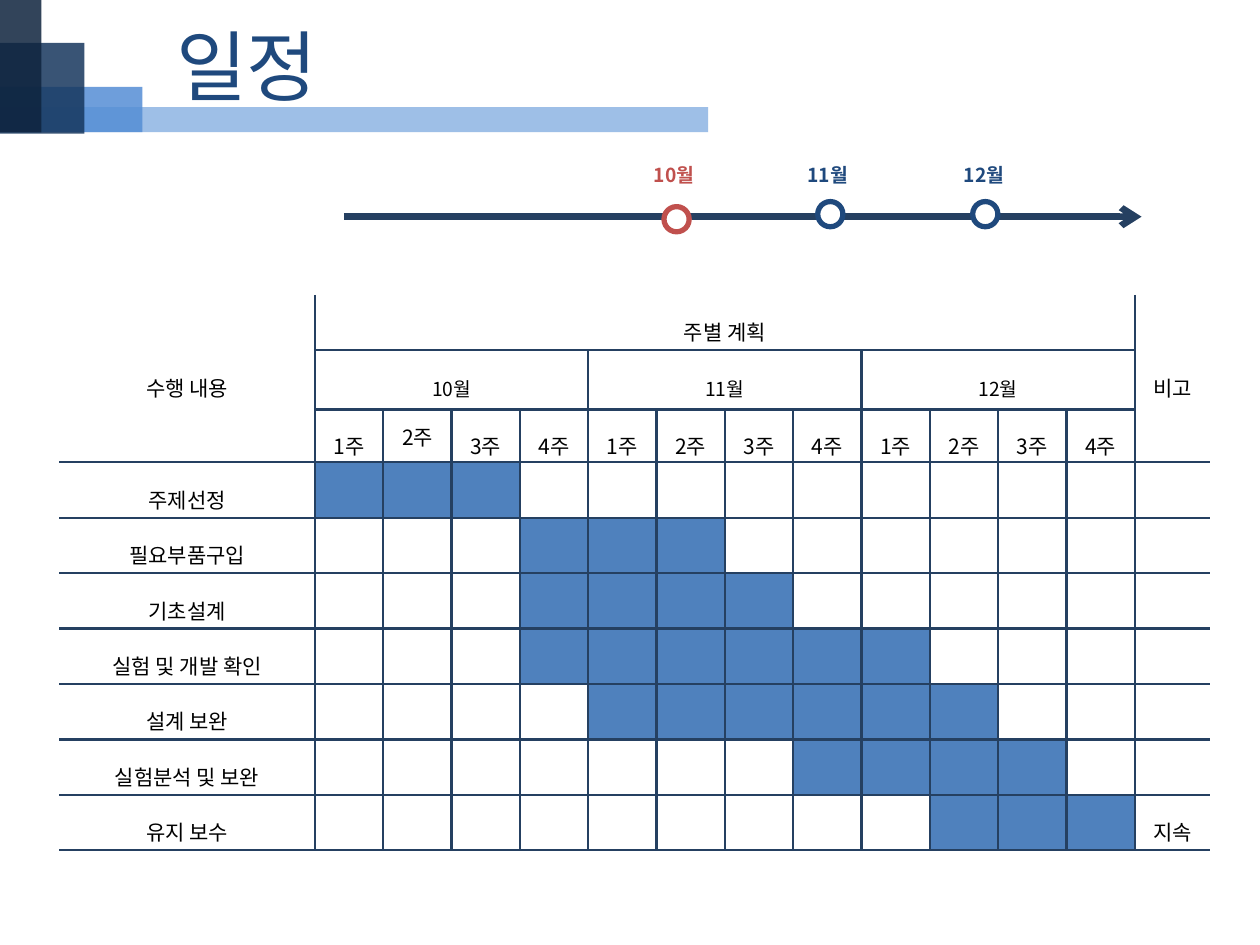
import dataclasses
import typing

import lxml.etree
import pptx
import pptx.dml.color
import pptx.enum.shapes
import pptx.enum.text
import pptx.oxml
import pptx.oxml.ns
import pptx.util

Inches = pptx.util.Inches
Pt = pptx.util.Pt
qn = pptx.oxml.ns.qn
PP_ALIGN = pptx.enum.text.PP_ALIGN
MSO_SHAPE = pptx.enum.shapes.MSO_SHAPE


@dataclasses.dataclass(frozen=True)
class Theme:
    font: str = "Noto Sans CJK KR"
    title_size: float = 44
    body_size: float = 12
    small_size: float = 11
    navy: str = "1F497D"
    red: str = "C0504D"
    rule: str = "254061"
    bar: str = "4F81BD"
    black: str = "000000"
    white: str = "FFFFFF"


class Block(typing.NamedTuple):
    top: float
    width: float
    height: float
    color: str


class Milestone(typing.NamedTuple):
    label: str
    label_left: float
    dot_left: float
    dot_top: float
    color: str


class Task(typing.NamedTuple):
    name: str
    first_week: int
    last_week: int
    note: str = ""


THEME = Theme()
BLOCKS = [
    Block(0.85, 5.62, 0.2, "8EB4E3"),
    Block(0.69, 1.13, 0.36, "558ED5"),
    Block(0.34, 0.67, 0.72, "17375E"),
    Block(-0.03, 0.33, 1.08, "0F243E"),
]
MILESTONES = [
    Milestone("11월", 6.3, 6.49, 1.6, THEME.navy),
    Milestone("12월", 7.54, 7.72, 1.6, THEME.navy),
    Milestone("10월", 5.08, 5.27, 1.64, THEME.red),
]
MONTHS = ["10월", "11월", "12월"]
TASKS = [
    Task("주제선정", 1, 3),
    Task("필요부품구입", 4, 6),
    Task("기초설계", 4, 7),
    Task("실험 및 개발 확인", 4, 9),
    Task("설계 보완", 5, 10),
    Task("실험분석 및 보완", 8, 11),
    Task("유지 보수", 10, 12, "지속"),
]
WEEKS_PER_MONTH = 4
WEEKS = WEEKS_PER_MONTH * len(MONTHS)
NOTE_COLUMN = WEEKS + 1
HEADER_HEIGHTS = [0.44, 0.47, 0.42]
TASK_HEIGHT = 0.44


def rgb(color: str) -> pptx.dml.color.RGBColor:
    return pptx.dml.color.RGBColor.from_string(color)


def write(text_frame, text: str, size: float, color: str, bold: bool = False,
          align=PP_ALIGN.CENTER, spacing: float = 1.0) -> None:
    text_frame.text = text
    paragraph = text_frame.paragraphs[0]
    paragraph.alignment = align
    paragraph.line_spacing = spacing
    for run in paragraph.runs:
        run.font.name = THEME.font
        run.font.size = Pt(size)
        run.font.bold = bold
        run.font.color.rgb = rgb(color)
        east_asian = lxml.etree.SubElement(run.font._element, qn("a:ea"))
        east_asian.set("typeface", THEME.font)


def add_text(slide, left: float, top: float, width: float, height: float,
             text: str, size: float, color: str, **options) -> None:
    text_box = slide.shapes.add_textbox(Inches(left), Inches(top), Inches(width), Inches(height))
    text_box.text_frame.word_wrap = True
    write(text_box.text_frame, text, size, color, **options)


def add_corner(slide, blocks: list[Block]) -> None:
    group = slide.shapes.add_group_shape()
    for block in blocks:
        shape = group.shapes.add_shape(MSO_SHAPE.RECTANGLE, 0, Inches(block.top),
                                       Inches(block.width), Inches(block.height))
        shape.shadow.inherit = False
        shape.line.fill.background()
        shape.fill.solid()
        shape.fill.fore_color.rgb = rgb(block.color)
        color = shape._element.spPr.find(".//" + qn("a:srgbClr"))
        lxml.etree.SubElement(color, qn("a:alpha")).set("val", "85000")


def add_timeline(slide) -> None:
    connector = slide.shapes.add_connector(pptx.enum.shapes.MSO_CONNECTOR.STRAIGHT,
                                           Inches(2.73), Inches(1.72), Inches(9.06), Inches(1.72))
    connector.line.color.rgb = rgb(THEME.rule)
    connector.line.width = Pt(3.75)
    lxml.etree.SubElement(connector.line._get_or_add_ln(), qn("a:tailEnd")).set("type", "arrow")
    lxml.etree.SubElement(connector._element.spPr, qn("a:effectLst"))


def add_milestone(slide, milestone: Milestone) -> None:
    add_text(slide, milestone.label_left, 1.27, 0.54, 0.27, milestone.label,
             THEME.small_size, milestone.color, bold=True, spacing=0.9)
    dot = slide.shapes.add_shape(MSO_SHAPE.OVAL, Inches(milestone.dot_left),
                                 Inches(milestone.dot_top), Inches(0.2), Inches(0.2))
    dot.shadow.inherit = False
    dot.fill.solid()
    dot.fill.fore_color.rgb = rgb(THEME.white)
    dot.line.color.rgb = rgb(milestone.color)
    dot.line.width = Pt(3)


def set_borders(cell, edges: dict[str, bool]) -> None:
    properties = cell._tc.get_or_add_tcPr()
    for position, (side, visible) in enumerate(edges.items()):
        line = pptx.oxml.parse_xml(
            f'<a:ln{side} xmlns:a="{pptx.oxml.ns.nsdecls("a").split(chr(34))[1]}" w="{Pt(1.5)}"/>')
        fill = lxml.etree.SubElement(line, qn("a:solidFill" if visible else "a:noFill"))
        if visible:
            lxml.etree.SubElement(fill, qn("a:srgbClr")).set("val", THEME.rule)
        properties.insert(position, line)


def fill_cell(cell, text: str, size: float = THEME.body_size, spacing: float = 1.6) -> None:
    write(cell.text_frame, text, size, THEME.black, spacing=spacing)


def add_schedule(slide) -> None:
    heights = HEADER_HEIGHTS + [TASK_HEIGHT] * len(TASKS)
    widths = [2.03] + [6.51 / WEEKS] * WEEKS + [0.6]
    table = slide.shapes.add_table(len(heights), len(widths), Inches(0.47), Inches(2.34),
                                   Inches(sum(widths)), Inches(sum(heights))).table
    table.first_row = table.horz_banding = False
    for column, width in zip(table.columns, widths):
        column.width = Inches(width)
    for row, height in zip(table.rows, heights):
        row.height = Inches(height)

    table.cell(0, 0).merge(table.cell(2, 0))
    table.cell(0, 1).merge(table.cell(0, WEEKS))
    table.cell(0, NOTE_COLUMN).merge(table.cell(2, NOTE_COLUMN))
    for first in range(1, WEEKS + 1, WEEKS_PER_MONTH):
        table.cell(1, first).merge(table.cell(1, first + WEEKS_PER_MONTH - 1))

    for row in range(len(heights)):
        for column in range(len(widths)):
            cell = table.cell(row, column)
            cell.margin_left = cell.margin_right = Inches(0.02)
            cell.margin_top = cell.margin_bottom = Inches(0.02)
            cell.vertical_anchor = pptx.enum.text.MSO_ANCHOR.MIDDLE
            cell.fill.background()
            if not cell.is_spanned:
                set_borders(cell, {"L": column > 0, "R": column < NOTE_COLUMN,
                                   "T": row > 0, "B": True})

    for column, heading in ((0, "수행 내용"), (1, "주별 계획"), (NOTE_COLUMN, "비고")):
        fill_cell(table.cell(0, column), heading)
    for index, month in enumerate(MONTHS):
        fill_cell(table.cell(1, 1 + index * WEEKS_PER_MONTH), month, THEME.small_size)
    for week in range(1, WEEKS + 1):
        number = (week - 1) % WEEKS_PER_MONTH + 1
        fill_cell(table.cell(2, week), f"{number}주", spacing=1.0 if week == 2 else 1.6)
    for row, task in enumerate(TASKS, start=len(HEADER_HEIGHTS)):
        fill_cell(table.cell(row, 0), task.name)
        if task.note:
            fill_cell(table.cell(row, NOTE_COLUMN), task.note)
        for week in range(task.first_week, task.last_week + 1):
            cell = table.cell(row, week)
            cell.fill.solid()
            cell.fill.fore_color.rgb = rgb(THEME.bar)


def main() -> None:
    """Build the project schedule slide."""
    presentation = pptx.Presentation()
    presentation.slide_width, presentation.slide_height = Inches(10), Inches(7.5)
    slide = presentation.slides.add_slide(presentation.slide_layouts[6])
    add_timeline(slide)
    add_corner(slide, BLOCKS)
    add_text(slide, 1.3, 0.1, 3.43, 0.84, "일정", THEME.title_size, THEME.navy, align=PP_ALIGN.LEFT)
    for milestone in MILESTONES:
        add_milestone(slide, milestone)
    add_schedule(slide)
    presentation.save("out.pptx")


if __name__ == "__main__":
    main()
